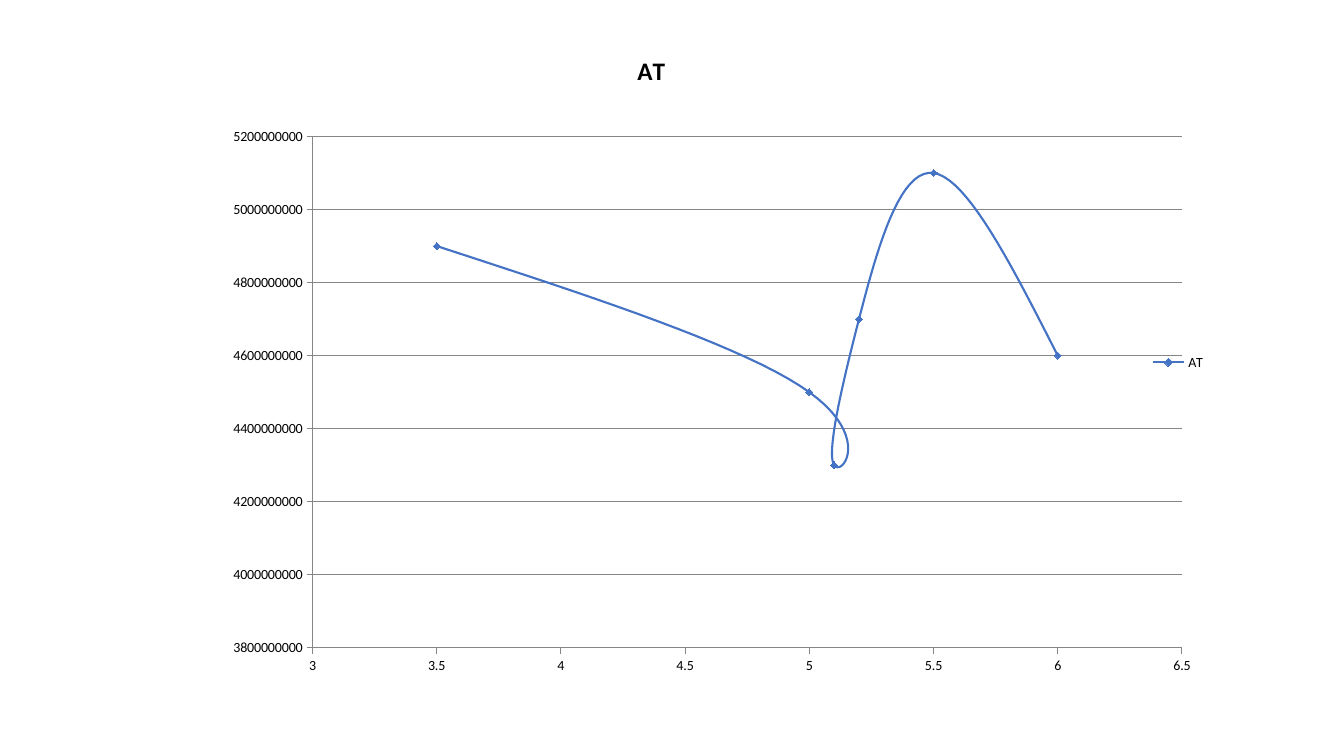
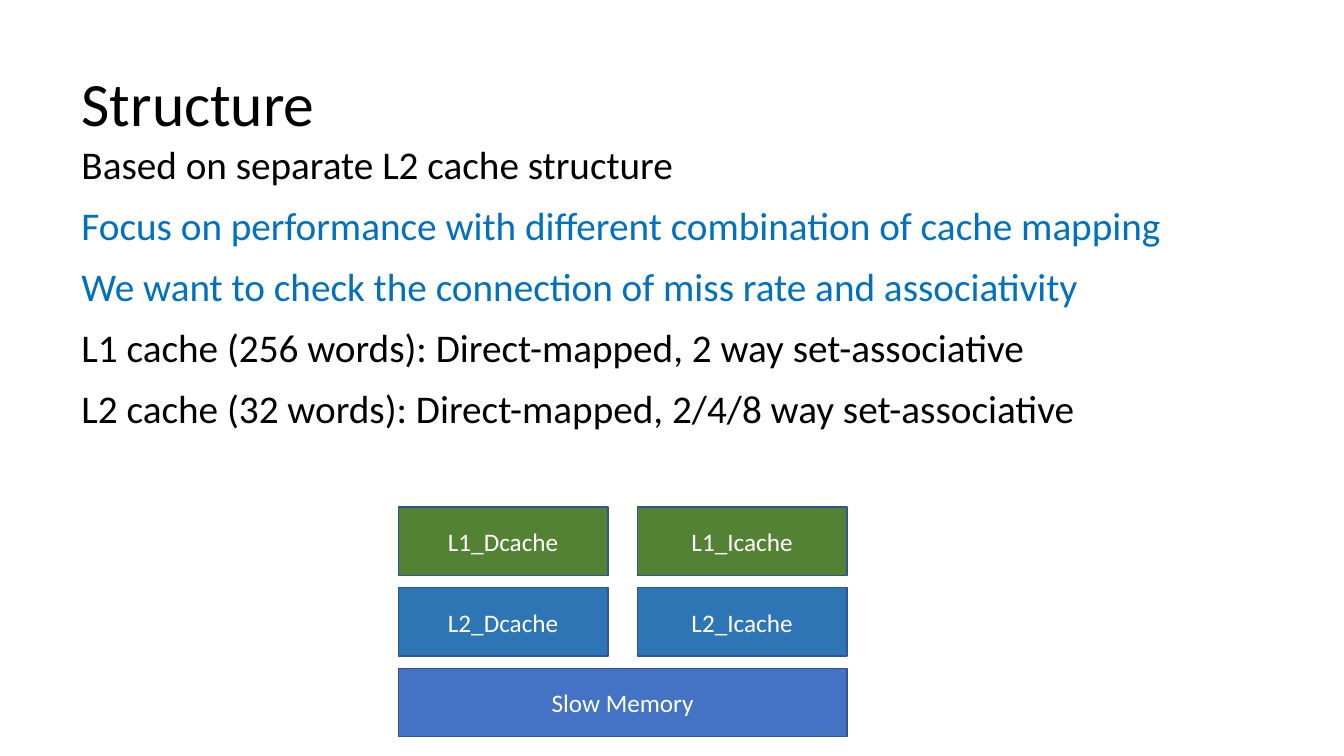
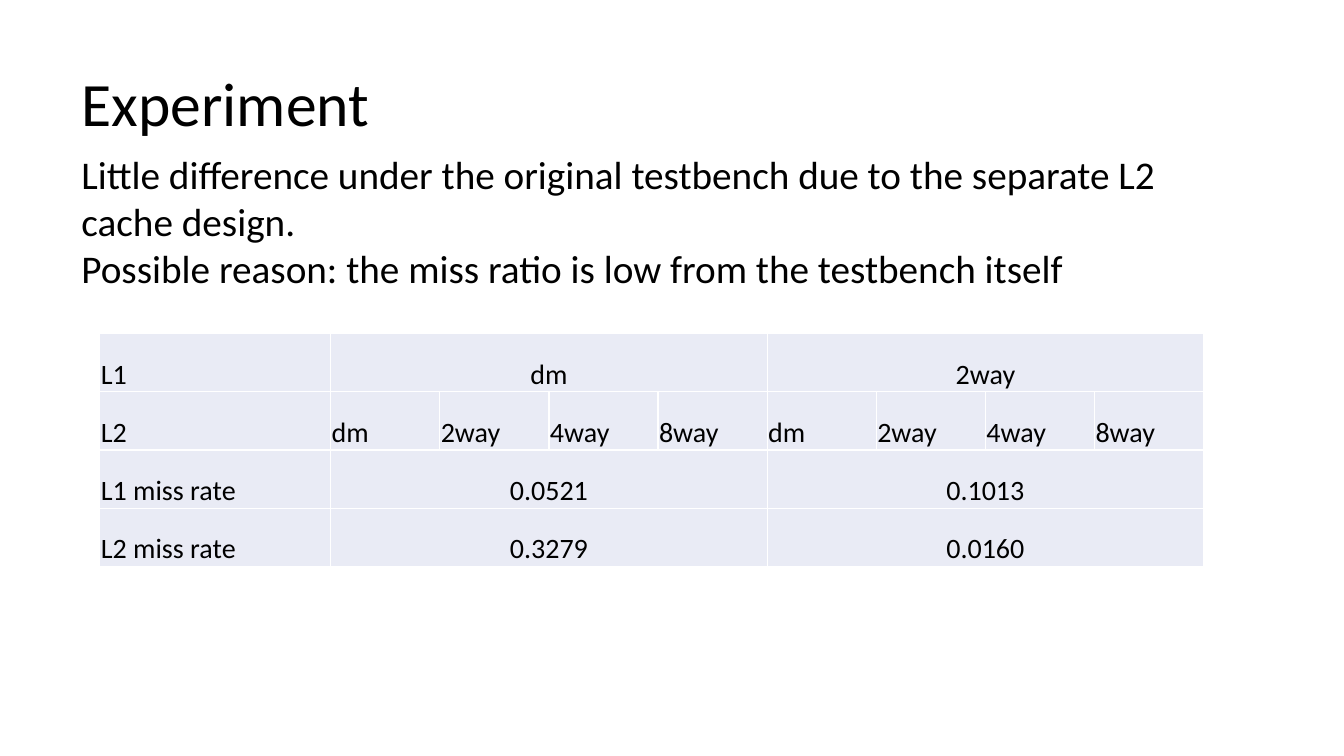
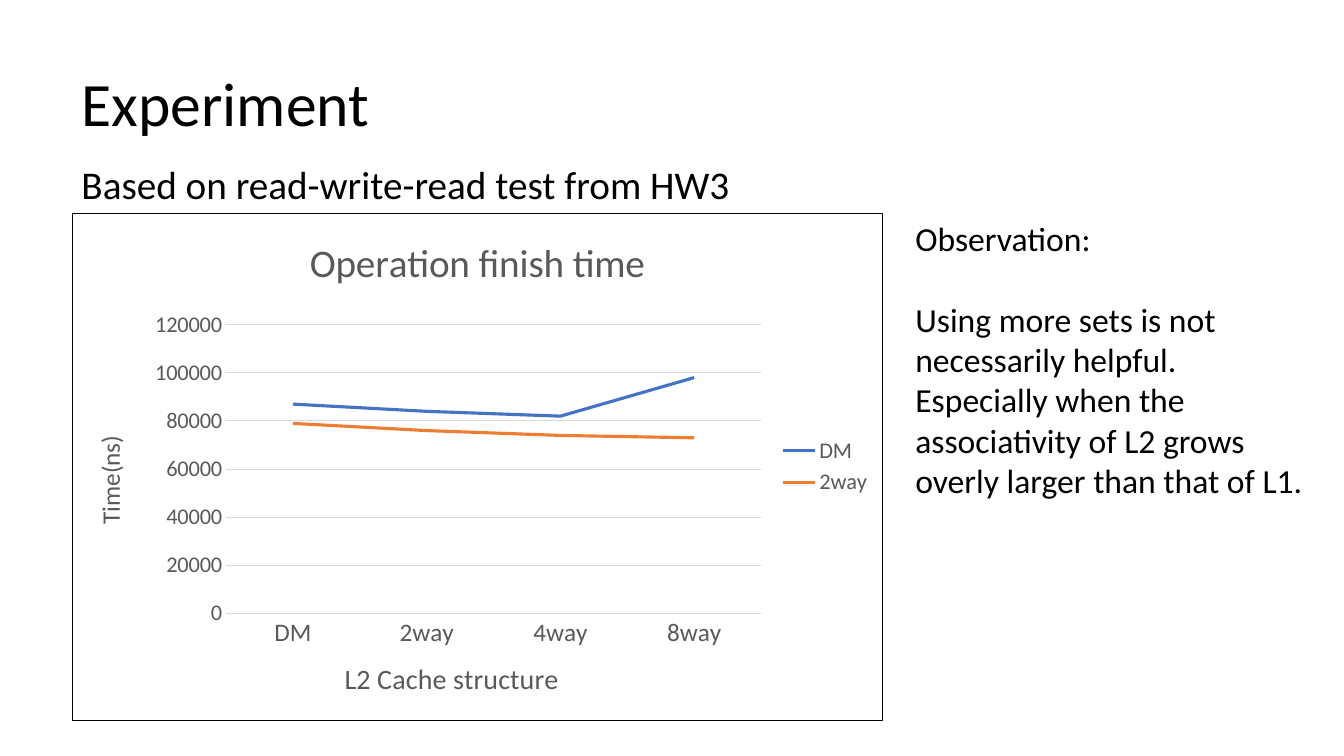
from lxml import etree
from pptx import Presentation
from pptx import util as u
from pptx.chart import data
from pptx.dml.color import RGBColor
from pptx.enum import chart as charts, shapes, text
from pptx.oxml import parse_xml
from pptx.oxml.ns import nsdecls, qn

FONT = "Calibri"
BLACK = RGBColor(0x00, 0x00, 0x00)
WHITE = RGBColor(0xFF, 0xFF, 0xFF)
FOCUS = RGBColor(0x00, 0x70, 0xC0)
BLUE = RGBColor(0x44, 0x72, 0xC4)
ORANGE = RGBColor(0xED, 0x7D, 0x31)
L1_GREEN = RGBColor(0x54, 0x82, 0x35)
L2_BLUE = RGBColor(0x2E, 0x75, 0xB6)
BLOCK_EDGE = RGBColor(0x32, 0x54, 0x91)
CELL = RGBColor(0xE9, 0xEB, 0xF5)
LABEL = RGBColor(0x59, 0x59, 0x59)
GRID = RGBColor(0xD9, 0xD9, 0xD9)
AXIS = RGBColor(0x86, 0x86, 0x86)

BLANK, TITLE_ONLY = 6, 5
LEFT, CENTER = text.PP_ALIGN.LEFT, text.PP_ALIGN.CENTER
MIDDLE = text.MSO_ANCHOR.MIDDLE


def inches(*lengths):
    return [u.Inches(length) for length in lengths]


def style_font(font, size, color=BLACK, bold=False):
    font.name = FONT
    font.size = u.Pt(size)
    font.bold = bold
    font.color.rgb = color


def write(frame, paragraphs, size=28, color=BLACK, align=LEFT, before=0,
          spacing=1.0, anchor=None):
    frame.word_wrap = True
    if anchor is not None:
        frame.vertical_anchor = anchor
    for index, entry in enumerate(paragraphs):
        words, own = entry if isinstance(entry, tuple) else (entry, {})
        line = frame.add_paragraph() if index else frame.paragraphs[0]
        line.alignment = align
        line.space_before = u.Pt(own.get("before", before))
        line.line_spacing = spacing
        run = line.add_run()
        run.text = words
        style_font(run.font, size, own.get("color", color))


def add_titled_slide(deck, heading):
    slide = deck.slides.add_slide(deck.slide_layouts[TITLE_ONLY])
    title = slide.shapes.title
    title.left, title.top, title.width, title.height = inches(0.71, 0.33, 11.5, 1.45)
    write(title.text_frame, [heading], size=44, spacing=0.9, anchor=MIDDLE)
    title.text_frame.auto_size = text.MSO_AUTO_SIZE.NONE
    return slide


def add_text(slide, place, paragraphs, **format):
    box = slide.shapes.add_textbox(*inches(*place))
    write(box.text_frame, paragraphs, **format)


def add_block(slide, place, label, fill):
    block = slide.shapes.add_shape(shapes.MSO_SHAPE.RECTANGLE, *inches(*place))
    block.shadow.inherit = False
    block.fill.solid()
    block.fill.fore_color.rgb = fill
    block.line.color.rgb = BLOCK_EDGE
    block.line.width = u.Pt(1)
    write(block.text_frame, [label], size=18, color=WHITE, align=CENTER, anchor=MIDDLE)


def border_cell(cell):
    properties = cell._tc.get_or_add_tcPr()
    for index, side in enumerate(("lnL", "lnR", "lnT", "lnB")):
        properties.insert(index, parse_xml(
            f'<a:{side} {nsdecls("a")} w="12700"><a:solidFill>'
            f'<a:srgbClr val="{WHITE}"/></a:solidFill></a:{side}>'))


def add_miss_rate_table(slide, place, first_width, rows):
    span = 4
    columns = 1 + 2 * span
    table = slide.shapes.add_table(len(rows), columns, *inches(*place)).table
    table.first_row = table.horz_banding = False
    for index, column in enumerate(table.columns):
        width = (place[2] - first_width) / (columns - 1) if index else first_width
        column.width = u.Inches(width)
    for row_index, values in enumerate(rows):
        merged = len(values) == 3
        for column in range(columns):
            cell = table.cell(row_index, column)
            cell.fill.solid()
            cell.fill.fore_color.rgb = CELL
            cell.margin_left = cell.margin_right = cell.margin_top = u.Inches(0.01)
            cell.margin_bottom = 0
            cell.vertical_anchor = text.MSO_ANCHOR.BOTTOM
            border_cell(cell)
        for index, value in enumerate(values):
            column = 1 + (index - 1) * span if merged and index else index
            cell = table.cell(row_index, column)
            if merged and index:
                cell.merge(table.cell(row_index, column + span - 1))
            write(cell.text_frame, [value], size=20,
                  align=CENTER if merged and index else LEFT)


def place_in_chart(element, x, y, w=None, h=None):
    old = element.find(qn("c:layout"))
    if old is not None:
        element.remove(old)
    settings = [("xMode", "edge"), ("yMode", "edge"), ("x", x), ("y", y)]
    if w is not None:
        settings = [("layoutTarget", "inner"), *settings, ("w", w), ("h", h)]
    layout = etree.Element(qn("c:layout"))
    manual = etree.SubElement(layout, qn("c:manualLayout"))
    for name, value in settings:
        etree.SubElement(manual, qn(f"c:{name}")).set("val", str(value))
    element.insert(0 if element.find(qn("c:tx")) is None else 1, layout)


def write_chart_title(holder, words, **format):
    frame = holder.text_frame
    frame.text = words
    style_font(frame.paragraphs[0].runs[0].font, **format)


def add_chart(slide, kind, place, series, heading, plot, **heading_format):
    chart = slide.shapes.add_chart(kind, *inches(*place), series).chart
    style_font(chart.font, 10)
    chart.has_title = True
    write_chart_title(chart.chart_title, heading, **heading_format)
    chart.has_legend = True
    chart.legend.position = charts.XL_LEGEND_POSITION.RIGHT
    chart.legend.include_in_layout = False
    place_in_chart(chart._chartSpace.chart.plotArea, *plot)
    return chart


def style_line(line, color, width):
    line.color.rgb = color
    line.width = u.Pt(width)


def style_axis(axis, color, tick, size, label, low=None, high=None, step=None):
    axis.major_tick_mark = tick
    axis.minor_tick_mark = charts.XL_TICK_MARK.NONE
    style_font(axis.tick_labels.font, size, label)
    style_line(axis.format.line, color, 0.75)
    if low is not None:
        axis.minimum_scale, axis.maximum_scale, axis.major_unit = low, high, step


def set_gridlines(chart, color):
    chart.category_axis.has_major_gridlines = False
    chart.value_axis.has_major_gridlines = True
    style_line(chart.value_axis.major_gridlines.format.line, color, 0.75)


def title_axis(axis, words, size, x, y):
    write_chart_title(axis.axis_title, words, size=size, color=LABEL)
    place_in_chart(axis.axis_title._element, x, y)


def border_chart(chart):
    chart._chartSpace.chart.addnext(parse_xml(
        f'<c:spPr {nsdecls("c", "a")}><a:ln w="9525"><a:solidFill>'
        f'<a:srgbClr val="{BLACK}"/></a:solidFill></a:ln></c:spPr>'))


def smooth_curve(curve):
    element = curve._element
    smooth = element.find(qn("c:smooth"))
    if smooth is None:
        smooth = etree.SubElement(element, qn("c:smooth"))
    smooth.set("val", "1")


def build_at_slide(deck):
    slide = deck.slides.add_slide(deck.slide_layouts[BLANK])
    points = data.XyChartData()
    at = points.add_series("AT")
    for cycle, product in ((3.5, 4900000000), (5, 4500000000), (5.1, 4300000000),
                           (5.2, 4700000000), (5.5, 5100000000), (6, 4600000000)):
        at.add_data_point(cycle, product)
    chart = add_chart(slide, charts.XL_CHART_TYPE.XY_SCATTER_SMOOTH,
                      (0.86, 0.3, 11.2, 6.59), points, "AT",
                      (0.2, 0.16, 0.77, 0.77), size=18, bold=True)
    outside = charts.XL_TICK_MARK.OUTSIDE
    style_axis(chart.category_axis, AXIS, outside, 10, BLACK, 3, 6.5, 0.5)
    style_axis(chart.value_axis, AXIS, outside, 10, BLACK,
               3800000000, 5200000000, 200000000)
    set_gridlines(chart, AXIS)
    curve = chart.plots[0].series[0]
    smooth_curve(curve)
    style_line(curve.format.line, BLUE, 1.5)
    curve.marker.style = charts.XL_MARKER_STYLE.DIAMOND
    curve.marker.size = 5
    curve.marker.format.fill.solid()
    curve.marker.format.fill.fore_color.rgb = BLUE
    style_line(curve.marker.format.line, BLUE, 0.75)


def build_structure_slide(deck):
    slide = add_titled_slide(deck, "Structure")
    add_text(slide, (0.71, 1.34, 12.62, 5.04), [
        "Based on separate L2 cache structure",
        ("Focus on performance with different combination of cache mapping",
         {"color": FOCUS}),
        ("We want to check the connection of miss rate and associativity",
         {"color": FOCUS}),
        "L1 cache (256 words): Direct-mapped, 2 way set-associative",
        "L2 cache (32 words): Direct-mapped, 2/4/8 way set-associative",
    ], before=10)
    left, top, width, height = 3.95, 5.03, 2.08, 0.68
    across, down = 2.37, 0.8
    for row, (level, fill) in enumerate((("L1", L1_GREEN), ("L2", L2_BLUE))):
        for column, cache in enumerate(("Dcache", "Icache")):
            add_block(slide, (left + column * across, top + row * down, width, height),
                      f"{level}_{cache}", fill)
    add_block(slide, (left, top + 2 * down, across + width, height), "Slow Memory", BLUE)


def build_miss_rate_slide(deck):
    slide = add_titled_slide(deck, "Experiment")
    add_text(slide, (0.71, 1.44, 11.26, 1.51), [
        "Little difference under the original testbench due to the separate L2 cache design.",
        "Possible reason: the miss ratio is low from the testbench itself",
    ])
    mappings = ["dm", "2way", "4way", "8way"]
    add_miss_rate_table(slide, (0.99, 3.31, 10.95, 2.31), 2.29, [
        ["L1", "dm", "2way"],
        ["L2", *mappings, *mappings],
        ["L1 miss rate", "0.0521", "0.1013"],
        ["L2 miss rate", "0.3279", "0.0160"],
    ])


def build_finish_time_slide(deck):
    slide = add_titled_slide(deck, "Experiment")
    add_text(slide, (0.71, 1.54, 12.46, 0.57), ["Based on read-write-read test from HW3"])
    times = data.CategoryChartData()
    times.categories = ["DM", "2way", "4way", "8way"]
    times.add_series("DM", (87000, 84000, 82000, 98000))
    times.add_series("2way", (79000, 76000, 74000, 73000))
    chart = add_chart(slide, charts.XL_CHART_TYPE.LINE, (0.71, 2.11, 8.05, 5.04), times,
                      "Operation finish time", (0.19, 0.22, 0.66, 0.57),
                      size=28, color=LABEL)
    style_font(chart.legend.font, 16, LABEL)
    no_tick = charts.XL_TICK_MARK.NONE
    style_axis(chart.category_axis, GRID, no_tick, 18, LABEL)
    style_axis(chart.value_axis, GRID, no_tick, 16, LABEL, 0, 120000, 20000)
    chart.value_axis.format.line.fill.background()
    set_gridlines(chart, GRID)
    title_axis(chart.category_axis, "L2 Cache structure", 20, 0.33, 0.87)
    title_axis(chart.value_axis, "Time(ns)", 18, 0.02, 0.43)
    for line, color in zip(chart.plots[0].series, (BLUE, ORANGE)):
        line.smooth = False
        style_line(line.format.line, color, 2.25)
    border_chart(chart)
    add_text(slide, (8.98, 2.11, 4.19, 2.93), [
        "Observation:",
        ("Using more sets is not necessarily helpful.", {"before": 29}),
        "Especially when the associativity of L2 grows overly larger than that of L1.",
    ], size=24)


def main():
    deck = Presentation()
    deck.slide_width, deck.slide_height = inches(13.33, 7.5)
    build_at_slide(deck)
    build_structure_slide(deck)
    build_miss_rate_slide(deck)
    build_finish_time_slide(deck)
    deck.save("out.pptx")


if __name__ == "__main__":
    main()
